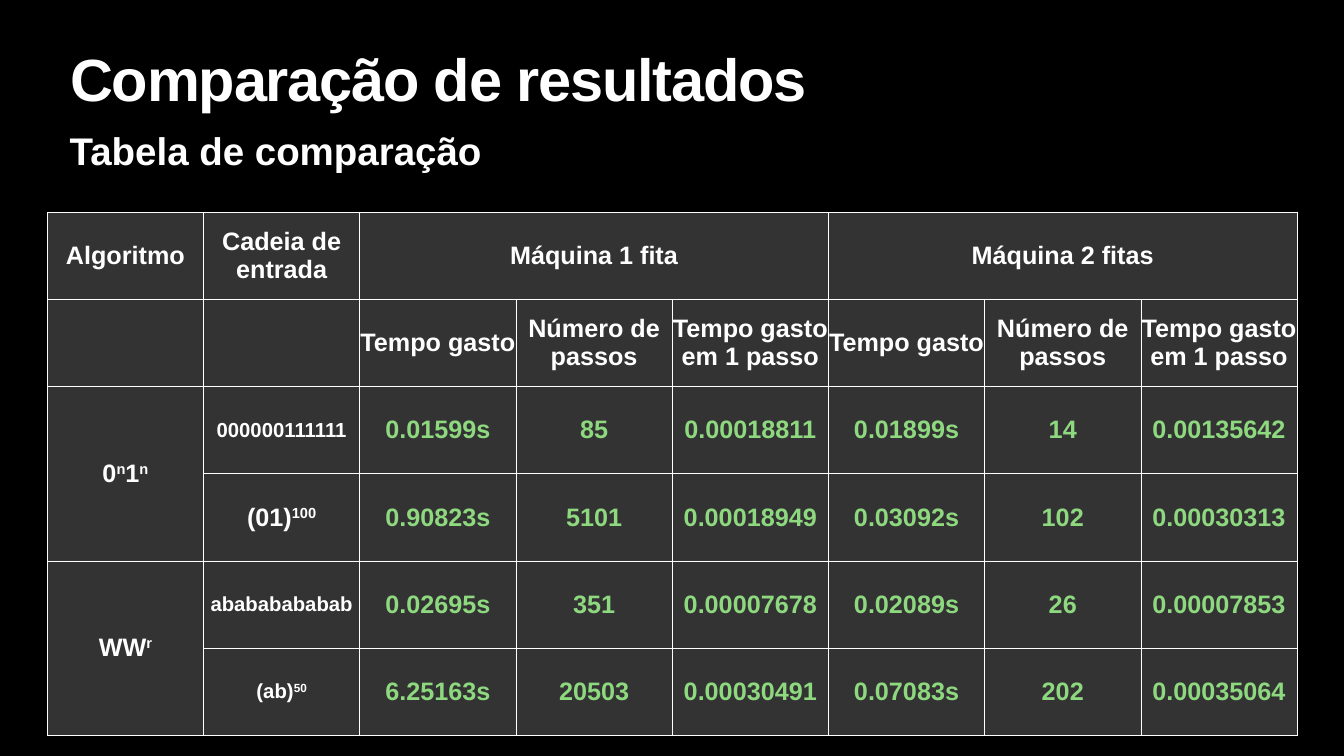
from pptx import Presentation
from pptx import util as u
from pptx.dml.color import RGBColor
from pptx.enum import text
from pptx.oxml import parse_xml
from pptx.oxml.ns import nsdecls
from lxml import etree

WIDTH, HEIGHT = 26.67, 15
FONT = "Arial"
WHITE, BLACK, GREEN = "FFFFFF", "000000", "8ED87F"
LARGE, SMALL = 36, 29
HEADINGS = ["Tempo gasto", "Número de passos", "Tempo gasto em 1 passo"]
HEADER_ROWS = [
    ["Algoritmo", "Cadeia de entrada", "Máquina 1 fita", "", "", "Máquina 2 fitas", "", ""],
    ["", ""] + HEADINGS * 2,
]
RESULT_ROWS = [
    ["0|n|1|n", "000000111111", "0.01599s", "85", "0.00018811", "0.01899s", "14", "0.00135642"],
    ["", "(01)|100", "0.90823s", "5101", "0.00018949", "0.03092s", "102", "0.00030313"],
    ["WW|r", "abababababab", "0.02695s", "351", "0.00007678", "0.02089s", "26", "0.00007853"],
    ["", "(ab)|50", "6.25163s", "20503", "0.00030491", "0.07083s", "202", "0.00035064"],
]
SMALL_LABELS = {"000000111111", "abababababab", "(ab)|50"}
MERGES = [(0, 2, 0, 4), (0, 5, 0, 7), (2, 0, 3, 0), (4, 0, 5, 0)]


def color(value):
    return RGBColor.from_string(value)


def style_font(font, size, value):
    font.name = FONT
    font.size = u.Pt(size)
    font.bold = True
    font.color.rgb = color(value)


def place(shape, box):
    shape.left, shape.top, shape.width, shape.height = (u.Inches(length) for length in box)


def fill_heading(shape, box, wording, size, inset):
    place(shape, box)
    frame = shape.text_frame
    frame.word_wrap = True
    frame.auto_size = text.MSO_AUTO_SIZE.NONE
    frame.vertical_anchor = text.MSO_ANCHOR.TOP
    frame.margin_left = frame.margin_right = u.Inches(inset)
    frame.margin_top = frame.margin_bottom = u.Inches(inset)
    frame.text = wording
    para = frame.paragraphs[0]
    para.alignment = text.PP_ALIGN.LEFT
    style_font(para.runs[0].font, size, WHITE)
    return para


def add_header(page, box):
    left, top, width, height = box
    title_box = (left, top, width, height * 0.46)
    para = fill_heading(page.shapes.title, title_box, "Comparação de resultados", 85, 0.06)
    para.line_spacing = 0.8
    para.runs[0].font._element.set("spc", "-170")
    subtitle_box = (left, top + height * 0.414, width, height * 0.586)
    subtitle = page.shapes.add_textbox(0, 0, 0, 0)
    fill_heading(subtitle, subtitle_box, "Tabela de comparação", 55, 0.05)


def paint_cell(cell):
    properties = cell._tc.get_or_add_tcPr()
    for side in "LRTB":
        properties.append(parse_xml(
            f'<a:ln{side} {nsdecls("a")} w="12700"><a:solidFill>'
            f'<a:srgbClr val="{WHITE}"/></a:solidFill></a:ln{side}>'))
    cell.fill.solid()
    cell.fill.fore_color.rgb = color(WHITE)
    tint = properties.find("{*}solidFill/{*}srgbClr")
    etree.SubElement(tint, tint.tag.replace("srgbClr", "alpha")).set("val", "20000")


def write_cell(cell, wording, size, value):
    cell.margin_left = cell.margin_right = cell.margin_top = cell.margin_bottom = 0
    cell.vertical_anchor = text.MSO_ANCHOR.MIDDLE
    para = cell.text_frame.paragraphs[0]
    para.alignment = text.PP_ALIGN.CENTER
    for index, part in enumerate(wording.split("|") if wording else []):
        span = para.add_run()
        span.text = part
        style_font(span.font, size, value)
        if index % 2:
            span.font._element.set("baseline", "32000")


def add_results(page, box):
    rows = HEADER_ROWS + RESULT_ROWS
    left, top, width, height = (u.Inches(length) for length in box)
    table = page.shapes.add_table(len(rows), len(rows[0]), left, top, width, height).table
    table.first_row = table.horz_banding = False
    for row, entries in enumerate(rows):
        for column, wording in enumerate(entries):
            cell = table.cell(row, column)
            is_value = row >= len(HEADER_ROWS) and column > 1
            size = SMALL if wording in SMALL_LABELS else LARGE
            write_cell(cell, wording, size, GREEN if is_value else WHITE)
            paint_cell(cell)
    for first_row, first_column, last_row, last_column in MERGES:
        table.cell(first_row, first_column).merge(table.cell(last_row, last_column))


def main():
    deck = Presentation()
    deck.slide_width, deck.slide_height = u.Inches(WIDTH), u.Inches(HEIGHT)
    page = deck.slides.add_slide(deck.slide_layouts[5])
    page.background.fill.solid()
    page.background.fill.fore_color.rgb = color(BLACK)
    add_header(page, (WIDTH * 0.05, HEIGHT * 0.07, WIDTH * 0.9, HEIGHT * 0.23))
    add_results(page, (WIDTH * 0.0352, HEIGHT * 0.2807, WIDTH * 0.93, HEIGHT * 0.692))
    deck.save("out.pptx")


if __name__ == "__main__":
    main()
